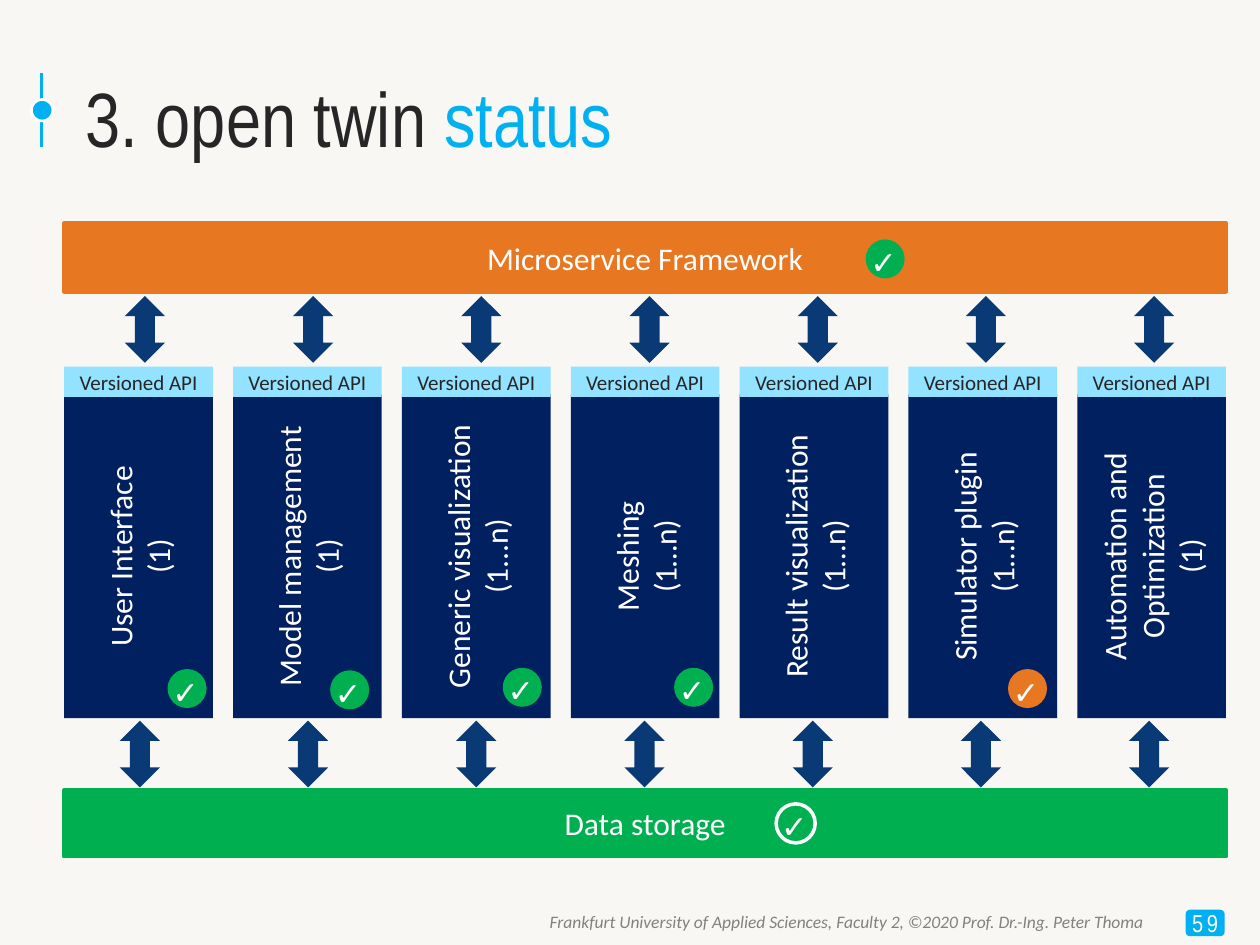
from dataclasses import dataclass

import pptx
import pptx.dml.color
import pptx.enum.shapes
import pptx.enum.text
import pptx.oxml.ns
import pptx.util

Inches = pptx.util.Inches
Pt = pptx.util.Pt
Shape = pptx.enum.shapes.MSO_SHAPE
Align = pptx.enum.text.PP_ALIGN
Anchor = pptx.enum.text.MSO_ANCHOR


@dataclass(frozen=True)
class Theme:
    background: str = "F8F7F3"
    accent: str = "00B0F0"
    dark_text: str = "262626"
    footer_text: str = "818181"
    white: str = "FFFFFF"
    module: str = "002060"
    interface: str = "93E2FF"
    arrow: str = "093A75"
    done: str = "00B050"
    partial: str = "E87722"
    heading_font: str = "Arial Narrow"
    body_font: str = "Calibri"
    title_size: int = 44
    body_size: int = 18
    number_size: int = 14
    label_size: int = 12
    footer_size: int = 10


def rgb(color):
    return pptx.dml.color.RGBColor.from_string(color)


class SlideBuilder:
    def __init__(self, slide, theme):
        self.slide = slide
        self.theme = theme
        fill = slide.background.fill
        fill.solid()
        fill.fore_color.rgb = rgb(theme.background)

    def format_run(self, run, size, color, font=None, bold=False, italic=False):
        run.font.name = font or self.theme.body_font
        run.font.size = Pt(size)
        run.font.bold = bold
        run.font.italic = italic
        run.font.color.rgb = rgb(color)

    def set_text(self, shape, text, size, color, align=Align.CENTER, **style):
        frame = shape.text_frame
        frame.text = text
        frame.word_wrap = True
        frame.vertical_anchor = Anchor.MIDDLE
        for paragraph in frame.paragraphs:
            paragraph.alignment = align
            for run in paragraph.runs:
                self.format_run(run, size, color, **style)

    def shape(self, kind, left, top, width, height, fill, line=None, line_width=2):
        shape = self.slide.shapes.add_shape(
            kind, Inches(left), Inches(top), Inches(width), Inches(height))
        shape.shadow.inherit = False
        shape.fill.solid()
        shape.fill.fore_color.rgb = rgb(fill)
        if line:
            shape.line.color.rgb = rgb(line)
            shape.line.width = Pt(line_width)
        else:
            shape.line.fill.background()
        return shape

    def text_box(self, text, left, top, width, height, size, color, align, **style):
        box = self.slide.shapes.add_textbox(
            Inches(left), Inches(top), Inches(width), Inches(height))
        self.set_text(box, text, size, color, align, **style)
        box.text_frame.vertical_anchor = Anchor.TOP
        return box

    def title(self, plain, highlighted):
        title = self.slide.shapes.title
        title.left, title.top = Inches(0.58), Inches(0.3)
        title.width, title.height = Inches(8.92), Inches(1.25)
        self.set_text(title, plain, self.theme.title_size, self.theme.dark_text,
                      Align.LEFT, font=self.theme.heading_font)
        title.text_frame.auto_size = pptx.enum.text.MSO_AUTO_SIZE.NONE
        run = title.text_frame.paragraphs[0].add_run()
        run.text = highlighted
        self.format_run(run, self.theme.title_size, self.theme.accent,
                        self.theme.heading_font)

    def title_marker(self):
        line = self.slide.shapes.add_connector(
            pptx.enum.shapes.MSO_CONNECTOR.STRAIGHT,
            Inches(0.33), Inches(0.58), Inches(0.33), Inches(1.17))
        line.line.color.rgb = rgb(self.theme.accent)
        line.line.width = Pt(1.5)
        properties = line._element.spPr
        properties.append(properties.makeelement(
            pptx.oxml.ns.qn("a:effectLst"), {}))
        self.shape(Shape.OVAL, 0.25, 0.79, 0.17, 0.17,
                   self.theme.accent, self.theme.white, 1.5)

    def footer(self, text, number):
        theme = self.theme
        self.text_box(text, 1.22, 7.18, 7.95, 0.27, theme.footer_size,
                      theme.footer_text, Align.RIGHT, italic=True)
        badge = self.shape(Shape.ROUNDED_RECTANGLE, 9.41, 7.22, 0.31, 0.21, theme.accent)
        self.set_text(badge, number, theme.number_size, theme.white,
                      font=theme.heading_font)
        frame = badge.text_frame
        frame.margin_left = frame.margin_right = 0
        frame.word_wrap = False
        frame.paragraphs[0].runs[0].font._element.set("spc", "200")

    def bar(self, text, top, height, color):
        bar = self.shape(Shape.RECTANGLE, 0.51, top, 9.22, height, color, color)
        self.set_text(bar, text, self.theme.body_size, self.theme.white)

    def module(self, text, left):
        """Draw a module with upward text and its API label on top."""
        theme = self.theme
        body = self.shape(Shape.RECTANGLE, left, 3.13, 1.18, 2.57, theme.module)
        self.set_text(body, text, theme.body_size, theme.white)
        body.text_frame._txBody.bodyPr.set("vert", "vert270")
        label = self.shape(Shape.RECTANGLE, left, 2.91, 1.18, 0.24, theme.interface)
        self.set_text(label, "Versioned API", theme.label_size, theme.dark_text)

    def arrow(self, left, top):
        self.shape(Shape.UP_DOWN_ARROW, left, top, 0.32, 0.53, self.theme.arrow)

    def check_mark(self, left, top, color, line=None):
        circle = self.shape(Shape.OVAL, left, top, 0.31, 0.31, color, line)
        tick = self.text_box("✓", left - 0.06, top - 0.02, 0.39, 0.4,
                             self.theme.body_size, self.theme.white,
                             Align.LEFT, bold=True)
        tick.text_frame.word_wrap = False
        self.slide.shapes.add_group_shape([circle, tick])


def main():
    presentation = pptx.Presentation()
    presentation.slide_width = Inches(10)
    presentation.slide_height = Inches(7.5)
    theme = Theme()
    builder = SlideBuilder(
        presentation.slides.add_slide(presentation.slide_layouts[5]), theme)

    builder.title_marker()
    builder.title("3. open twin ", "status")
    builder.footer("Frankfurt University of Applied Sciences, Faculty 2, "
                   "©2020 Prof. Dr.-Ing. Peter Thoma", "59")

    builder.bar("Microservice Framework", 1.77, 0.55, theme.partial)
    builder.bar("Data storage", 6.27, 0.53, theme.done)

    modules = [
        "User Interface\n(1)",
        "Model management\n(1)",
        "Generic visualization\n(1...n)",
        "Meshing\n(1…n)",
        "Result visualization\n(1…n)",
        "Simulator plugin\n(1…n)",
        "Automation and Optimization\n(1)",
    ]
    module_pitch, arrow_pitch = 1.34, 8.01 / 6
    for index, text in enumerate(modules):
        builder.module(text, 0.51 + index * module_pitch)
        builder.arrow(0.99 + index * arrow_pitch, 2.35)
        builder.arrow(0.95 + index * arrow_pitch, 5.72)

    for left, top in [(1.33, 5.31), (2.62, 5.32), (3.99, 5.3), (5.35, 5.3), (6.87, 1.9)]:
        builder.check_mark(left, top, theme.done)
    builder.check_mark(8, 5.31, theme.partial)
    builder.check_mark(6.16, 6.38, theme.done, theme.white)

    presentation.save("out.pptx")


if __name__ == "__main__":
    main()
